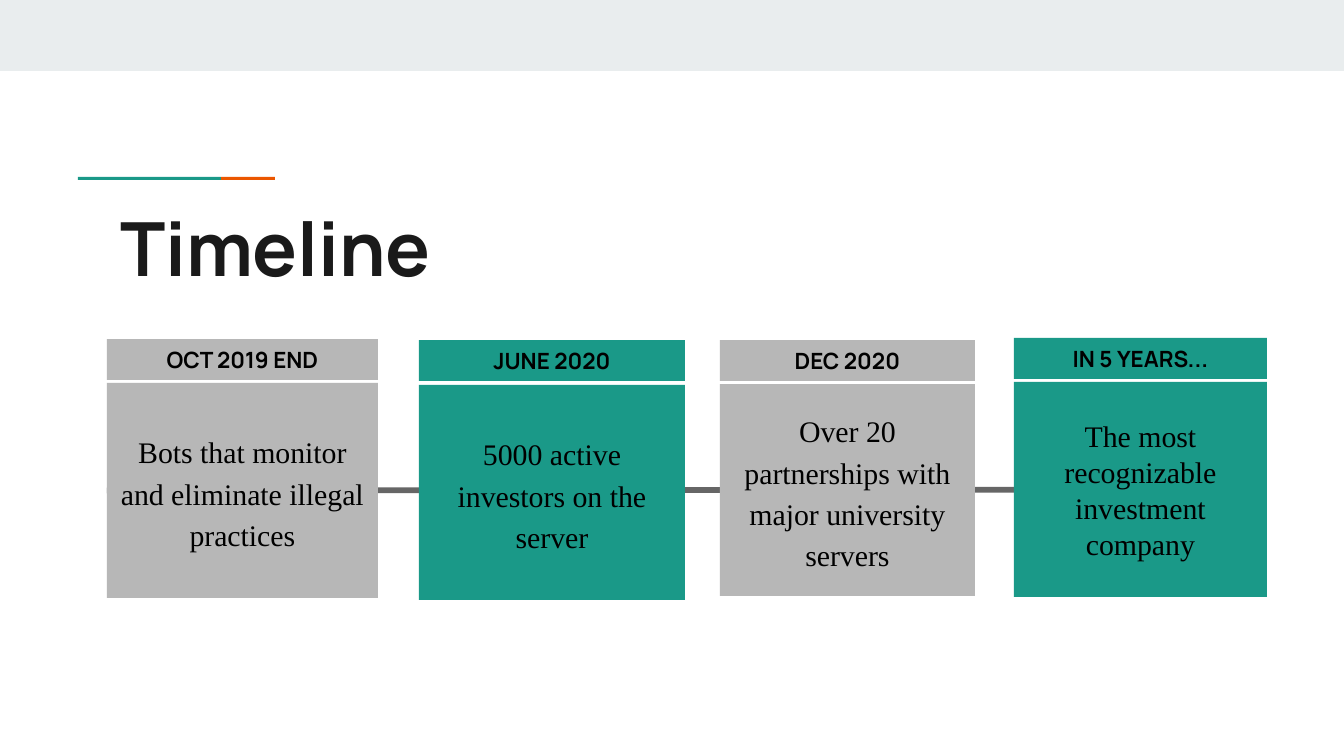
"""Build a timeline slide with four dated cards on one line."""
import dataclasses

import lxml.etree
import pptx
import pptx.dml.color
import pptx.enum.shapes
import pptx.enum.text
import pptx.oxml.ns
import pptx.util

SCALE = 6804


@dataclasses.dataclass(frozen=True)
class Theme:
    """Hold the colours, fonts and type sizes."""
    band: str = "E9EDEE"
    teal: str = "1A9988"
    orange: str = "EB5600"
    gray: str = "B7B7B7"
    line: str = "666666"
    title: str = "1A1A1A"
    text: str = "000000"
    sans: str = "Manrope"
    serif: str = "Times New Roman"
    large: int = 40
    body: int = 16
    small: int = 12


THEME = Theme()
CARDS = [
    ("OCT 2019 END", "Bots that monitor and eliminate illegal practices",
     THEME.gray, 107, 271, 339, 383, 215, 1.15),
    ("JUNE 2020", "5000 active investors on the server",
     THEME.teal, 419, 266, 340, 385, 215, 1.15),
    ("DEC 2020", "Over 20 partnerships with major university servers",
     THEME.gray, 720, 255, 340, 384, 212, 1.15),
    ("IN 5 YEARS...", "The most recognizable investment company",
     THEME.teal, 1014, 253, 338, 382, 215, 1.0),
]


def px(*sizes):
    """Turn pixel lengths into EMU."""
    return [pptx.util.Emu(size * SCALE) for size in sizes]


def rgb(code):
    """Turn a hex code into a colour."""
    return pptx.dml.color.RGBColor.from_string(code)


def apply(item, values):
    """Set attributes of an item from a dict."""
    for name, value in values.items():
        setattr(item, name, value)


def write(shape, text, font, size, color, bold=False, align="LEFT",
          anchor="TOP", space=1.0):
    """Put one styled paragraph in a shape."""
    frame = shape.text_frame
    inset = pptx.util.Inches(0.1)
    apply(frame, {
        "word_wrap": True,
        "vertical_anchor": getattr(pptx.enum.text.MSO_ANCHOR, anchor),
        "margin_left": inset, "margin_right": inset,
        "margin_top": inset, "margin_bottom": inset,
    })
    para = frame.paragraphs[0]
    apply(para, {
        "text": text,
        "alignment": getattr(pptx.enum.text.PP_ALIGN, align),
        "line_spacing": space,
    })
    apply(para.font, {"name": font, "size": pptx.util.Pt(size), "bold": bold})
    para.font.color.rgb = rgb(color)


def block(slide, box, color):
    """Add a plain filled rectangle."""
    shape = slide.shapes.add_shape(
        pptx.enum.shapes.MSO_SHAPE.RECTANGLE, *px(*box))
    shape.shadow.inherit = False
    shape.fill.solid()
    shape.fill.fore_color.rgb = rgb(color)
    shape.line.fill.background()
    return shape


def rule(slide, ends):
    """Add the line that runs behind the cards."""
    line = slide.shapes.add_connector(
        pptx.enum.shapes.MSO_CONNECTOR.STRAIGHT, *px(*ends))
    line.line.width = pptx.util.Pt(3)
    line.line.color.rgb = rgb(THEME.line)
    lxml.etree.SubElement(
        line._element.spPr, pptx.oxml.ns.qn("a:effectLst"))
    return line


def card(slide, date, note, color, left, width, top, base, height, space):
    """Add a date bar above a note and return the note's shape."""
    body = block(slide, (left, base, width, height), color)
    write(body, note, THEME.serif, THEME.body, THEME.text,
          align="CENTER", anchor="MIDDLE", space=space)
    head = block(slide, (left, top, width, 41), color)
    write(head, date, THEME.sans, THEME.small, THEME.text, bold=True,
          align="CENTER", anchor="MIDDLE")
    return body


def main():
    """Build and save the slide."""
    deck = pptx.Presentation()
    wide, high = px(1344, 756)
    apply(deck, {"slide_width": wide, "slide_height": high})
    slide = deck.slides.add_slide(deck.slide_layouts[6])

    block(slide, (0, 0, 1344, 71), THEME.band)
    block(slide, (221, 177, 54, 3), THEME.orange)
    block(slide, (78, 177, 143, 3), THEME.teal)
    line = rule(slide, (107, 490, 1267, 488))
    title = slide.shapes.add_textbox(*px(107, 188, 1130, 120))
    write(title, "Timeline", THEME.sans, THEME.large, THEME.title, bold=True)

    notes = [card(slide, *item) for item in CARDS]
    line.begin_connect(notes[0], 1)
    line.end_connect(notes[-1], 3)
    deck.save("out.pptx")


if __name__ == "__main__":
    main()
